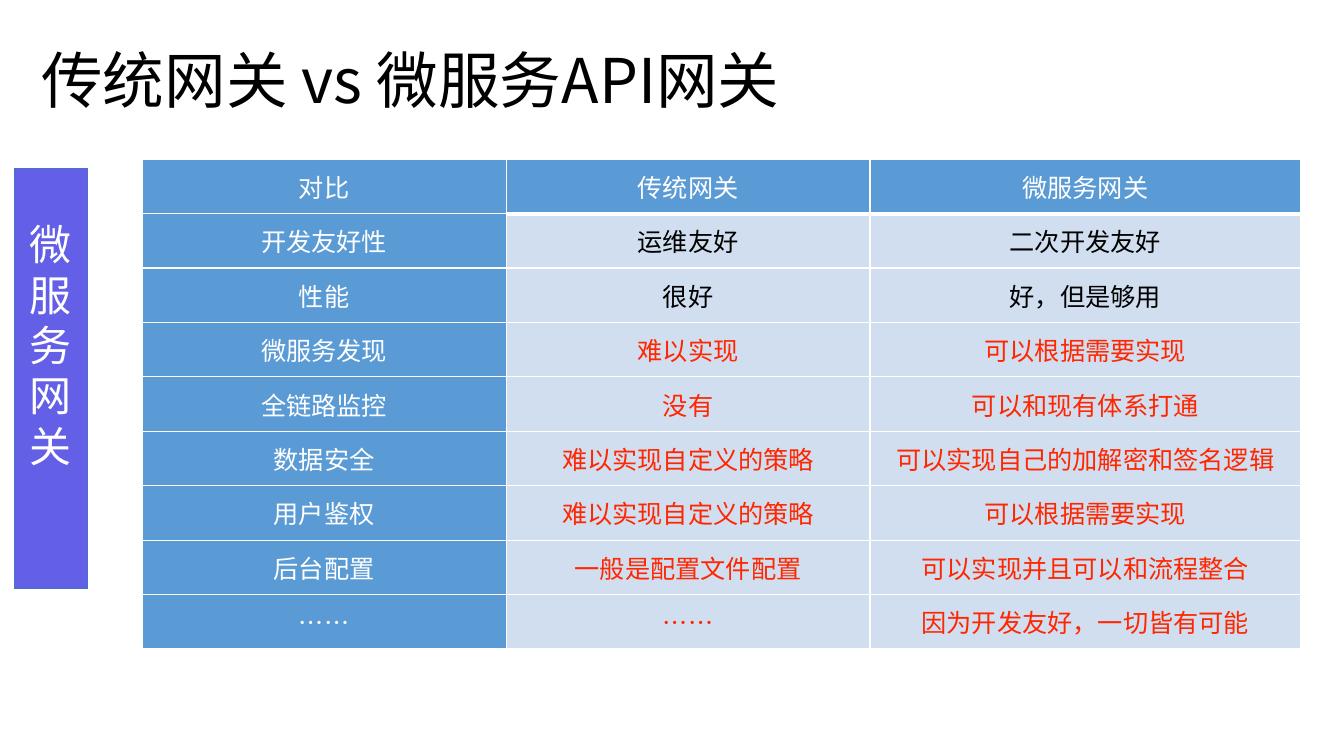
from dataclasses import dataclass

from lxml.etree import SubElement
from pptx import Presentation
from pptx.dml.color import RGBColor
from pptx.enum.lang import MSO_LANGUAGE_ID
from pptx.enum.shapes import MSO_SHAPE
from pptx.enum.text import MSO_ANCHOR, PP_ALIGN
from pptx.oxml.ns import qn
from pptx.util import Emu, Pt

EMU_PER_PX = 9144
FONT = "Noto Sans CJK JP"
BLACK = RGBColor(0x00, 0x00, 0x00)
WHITE = RGBColor(0xFF, 0xFF, 0xFF)
RED = RGBColor(0xFF, 0x26, 0x00)
HEADER_BLUE = RGBColor(0x5B, 0x9B, 0xD5)
PALE_BLUE = RGBColor(0xD0, 0xDE, 0xEF)
PURPLE = RGBColor(0x64, 0x5F, 0xE7)
OUTLINE_BLUE = RGBColor(0x44, 0x72, 0xC4)


@dataclass(frozen=True)
class Comparison:
    aspect: str
    traditional: str
    microservice: str
    color: RGBColor = RED


COMPARISONS = [
    Comparison("对比", "传统网关", "微服务网关", WHITE),
    Comparison("开发友好性", "运维友好", "二次开发友好", BLACK),
    Comparison("性能", "很好", "好，但是够用", BLACK),
    Comparison("微服务发现", "难以实现", "可以根据需要实现"),
    Comparison("全链路监控", "没有", "可以和现有体系打通"),
    Comparison("数据安全", "难以实现自定义的策略", "可以实现自己的加解密和签名逻辑"),
    Comparison("用户鉴权", "难以实现自定义的策略", "可以根据需要实现"),
    Comparison("后台配置", "一般是配置文件配置", "可以实现并且可以和流程整合"),
    Comparison("……", "……", "因为开发友好，一切皆有可能"),
]
COLUMN_WIDTHS = [361, 361, 427]
ROW_HEIGHT = 54


def px(length: int) -> Emu:
    return Emu(length * EMU_PER_PX)


def write_text(frame, text: str, *, size: int, color: RGBColor,
               align=PP_ALIGN.CENTER, spacing=None) -> None:
    frame.text = text
    for paragraph in frame.paragraphs:
        paragraph.alignment = align
        if spacing is not None:
            paragraph.line_spacing = spacing
        for run in paragraph.runs:
            run.font.size = Pt(size)
            run.font.name = FONT
            run.font.color.rgb = color
            run.font.language_id = MSO_LANGUAGE_ID.SIMPLIFIED_CHINESE
            SubElement(run.font._element, qn("a:ea"), typeface=FONT)


def set_insets(target, horizontal: int, top: int, bottom: int) -> None:
    target.margin_left = target.margin_right = px(horizontal)
    target.margin_top, target.margin_bottom = px(top), px(bottom)


def set_borders(cell, **widths: int) -> None:
    properties = cell._tc.get_or_add_tcPr()
    for side in "LRTB":
        line = SubElement(properties, qn(f"a:ln{side}"), w=str(Pt(widths.get(side, 1))))
        fill = SubElement(line, qn("a:solidFill"))
        SubElement(fill, qn("a:srgbClr"), val=str(WHITE))


def add_title(slide) -> None:
    title = slide.shapes.title
    title.left, title.top, title.width, title.height = map(px, (36, 10, 1150, 145))
    frame = title.text_frame
    frame.vertical_anchor = MSO_ANCHOR.MIDDLE
    set_insets(frame, 5, 5, 5)
    write_text(frame, "传统网关 vs 微服务API网关", size=44, color=BLACK,
               align=PP_ALIGN.LEFT, spacing=0.9)


def add_topic_banner(slide) -> None:
    banner = slide.shapes.add_shape(MSO_SHAPE.RECTANGLE, *map(px, (14, 167, 73, 417)))
    banner.shadow.inherit = False
    banner.fill.solid()
    banner.fill.fore_color.rgb = PURPLE
    banner.line.color.rgb = OUTLINE_BLUE
    banner.line.width = Pt(0.5)
    frame = banner.text_frame
    frame.word_wrap = True
    frame.vertical_anchor = MSO_ANCHOR.TOP
    set_insets(frame, 0, 50, 0)
    write_text(frame, "微服务\n网关", size=30, color=WHITE, spacing=Pt(36))


def add_comparison_table(slide) -> None:
    table = slide.shapes.add_table(
        len(COMPARISONS), len(COLUMN_WIDTHS), px(141), px(158),
        px(sum(COLUMN_WIDTHS)), px(ROW_HEIGHT * len(COMPARISONS))).table
    for column, width in zip(table.columns, COLUMN_WIDTHS):
        column.width = px(width)
    for row_index, comparison in enumerate(COMPARISONS):
        table.rows[row_index].height = px(ROW_HEIGHT)
        texts = (comparison.aspect, comparison.traditional, comparison.microservice)
        for column_index, text in enumerate(texts):
            cell = table.cell(row_index, column_index)
            is_heading = row_index == 0 or column_index == 0
            in_body_column = column_index > 0
            set_borders(cell, T=3 if row_index == 1 and in_body_column else 1,
                        B=3 if row_index == 0 and in_body_column else 1)
            cell.fill.solid()
            cell.fill.fore_color.rgb = HEADER_BLUE if is_heading else PALE_BLUE
            cell.vertical_anchor = MSO_ANCHOR.MIDDLE
            set_insets(cell, 0, 0, 0)
            write_text(cell.text_frame, text, size=18,
                       color=WHITE if is_heading else comparison.color)


def main() -> None:
    presentation = Presentation()
    presentation.slide_width, presentation.slide_height = px(1333), px(750)
    slide = presentation.slides.add_slide(presentation.slide_layouts[5])
    add_title(slide)
    add_topic_banner(slide)
    add_comparison_table(slide)
    presentation.save("out.pptx")


if __name__ == "__main__":
    main()
